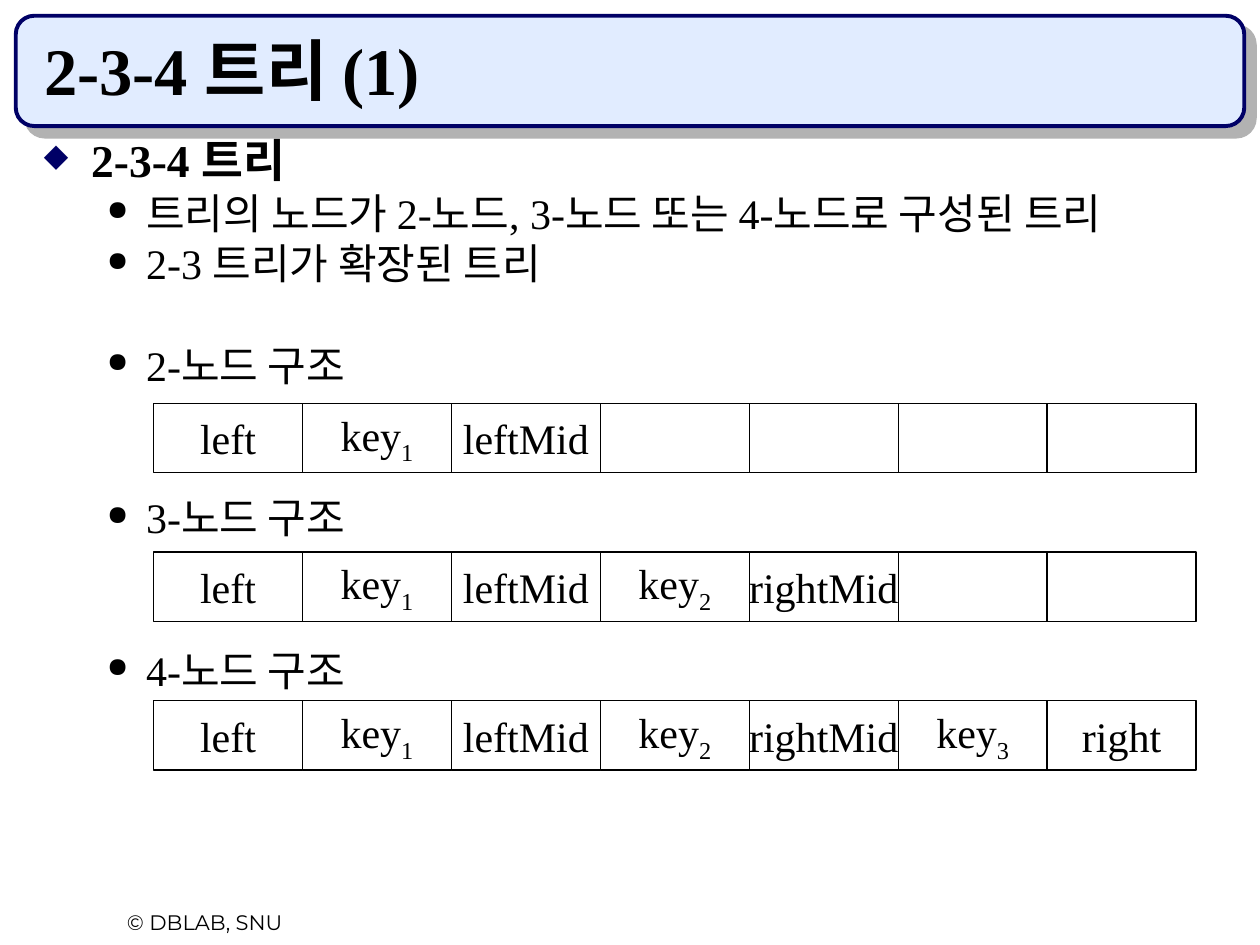
"""Build the 2-3-4 tree slide with its three node layouts."""
from lxml import etree
from pptx import Presentation
from pptx import util as u
from pptx.dml.color import RGBColor
from pptx.enum import shapes, text
from pptx.oxml import ns

Pt = u.Pt


def color(value):
    return RGBColor.from_string(value)


def style(p, size, font="Times New Roman", bold=False):
    for r in p.runs:
        r.font.size = Pt(size)
        r.font.name = font
        r.font.bold = bold
        r.font.color.rgb = color("000000")


prs = Presentation()
prs.slide_width, prs.slide_height = Pt(720), Pt(540)
s = prs.slides.add_slide(prs.slide_layouts[5])

banner = s.shapes.add_shape(
    shapes.MSO_SHAPE.ROUNDED_RECTANGLE, Pt(9), Pt(9), Pt(702), Pt(63))
banner.shadow.inherit = False
banner.fill.solid()
banner.fill.fore_color.rgb = color("E1ECFF")
banner.line.color.rgb = color("000066")
banner.line.width = Pt(2.25)
effects = banner.element.spPr.find(ns.qn("a:effectLst"))
shadow = etree.SubElement(effects, ns.qn("a:outerShdw"), dist=str(Pt(8.5)),
                          dir="2700000", algn="ctr", rotWithShape="0")
etree.SubElement(shadow, ns.qn("a:srgbClr"), val="B2B2B2")

footer = s.shapes.add_textbox(Pt(30), Pt(516), Pt(174), Pt(21.6))
tf = footer.text_frame
tf.word_wrap = True
tf.text = "© DBLAB, SNU"
tf.paragraphs[0].alignment = text.PP_ALIGN.CENTER
style(tf.paragraphs[0], 12, "Montserrat")

title = s.shapes.title
s.shapes.element.append(title.element)
title.left, title.top, title.width, title.height = Pt(18), Pt(18), Pt(678), Pt(48)
tf = title.text_frame
tf.auto_size = text.MSO_AUTO_SIZE.NONE
tf.vertical_anchor = text.MSO_ANCHOR.BOTTOM
tf.text = "2-3-4 트리 (1)"
tf.paragraphs[0].alignment = text.PP_ALIGN.LEFT
style(tf.paragraphs[0], 38, bold=True)

body = s.shapes.add_textbox(Pt(18), Pt(78), Pt(678), Pt(420))
tf = body.text_frame
tf.word_wrap = True
points = [
    ("2-3-4 트리", 0, 0),
    ("트리의 노드가 2-노드, 3-노드 또는 4-노드로 구성된 트리", 1, 6),
    ("2-3 트리가 확장된 트리", 1, 6),
    ("2-노드 구조", 1, 35),
    ("3-노드 구조", 1, 64),
    ("4-노드 구조", 1, 64),
]
levels = [
    (27, -27, "000066", 70, "◆", 26),
    (58.5, -22.5, "000000", 65, "●", 24),
]
for i, (line, level, before) in enumerate(points):
    margin, indent, bullet_color, percent, bullet, size = levels[level]
    p = tf.add_paragraph() if i else tf.paragraphs[0]
    p.text = line
    p.level = level
    pPr = p._p.get_or_add_pPr()
    pPr.set("marL", str(Pt(margin)))
    pPr.set("indent", str(Pt(indent)))
    buClr = etree.SubElement(pPr, ns.qn("a:buClr"))
    etree.SubElement(buClr, ns.qn("a:srgbClr"), val=bullet_color)
    etree.SubElement(pPr, ns.qn("a:buSzPct"), val=str(percent * 1000))
    etree.SubElement(pPr, ns.qn("a:buChar"), char=bullet)
    p.line_spacing = 0.8
    p.space_before = Pt(before)
    style(p, size, bold=level == 0)

fields = ["left", "key1", "leftMid", "key2", "rightMid", "key3", "right"]
cell_width = 85.1
for row, used in enumerate([3, 5, 7]):
    for col, field in enumerate(fields):
        sp = s.shapes.add_shape(
            shapes.MSO_SHAPE.RECTANGLE, Pt(87.8 + col * cell_width),
            Pt(230.4 + row * 85), Pt(cell_width), Pt(39.6))
        sp.shadow.inherit = False
        sp.fill.background()
        sp.line.color.rgb = color("000000")
        sp.line.width = Pt(0.75)
        if col >= used:
            continue
        tf = sp.text_frame
        tf.word_wrap = False
        tf.vertical_anchor = text.MSO_ANCHOR.MIDDLE
        p = tf.paragraphs[0]
        p.alignment = text.PP_ALIGN.CENTER
        name = field.rstrip("123")
        p.text = name
        if name != field:
            r = p.add_run()
            r.text = field[-1]
            r.font._element.set("baseline", "-25000")
        style(p, 24)

prs.save("out.pptx")
